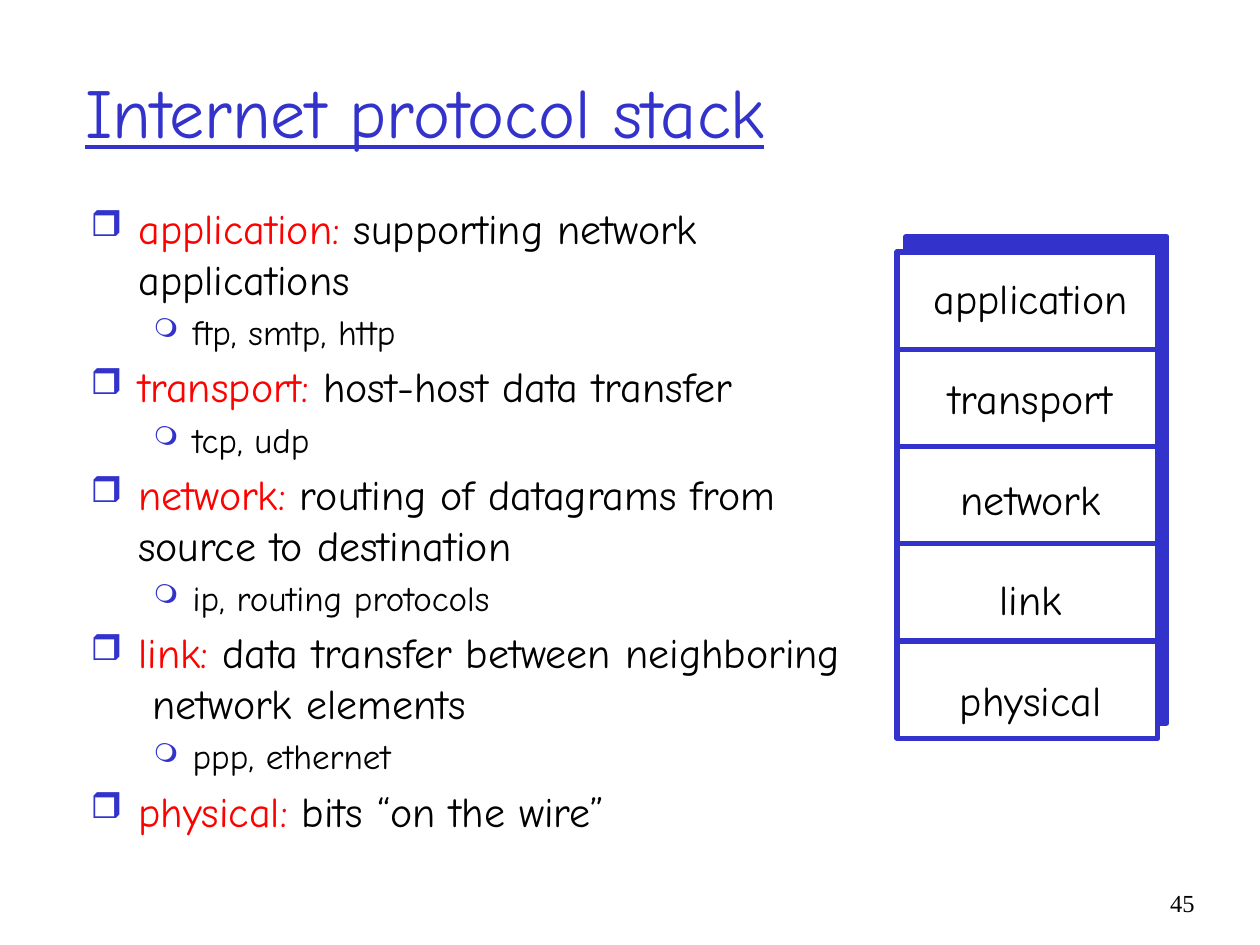
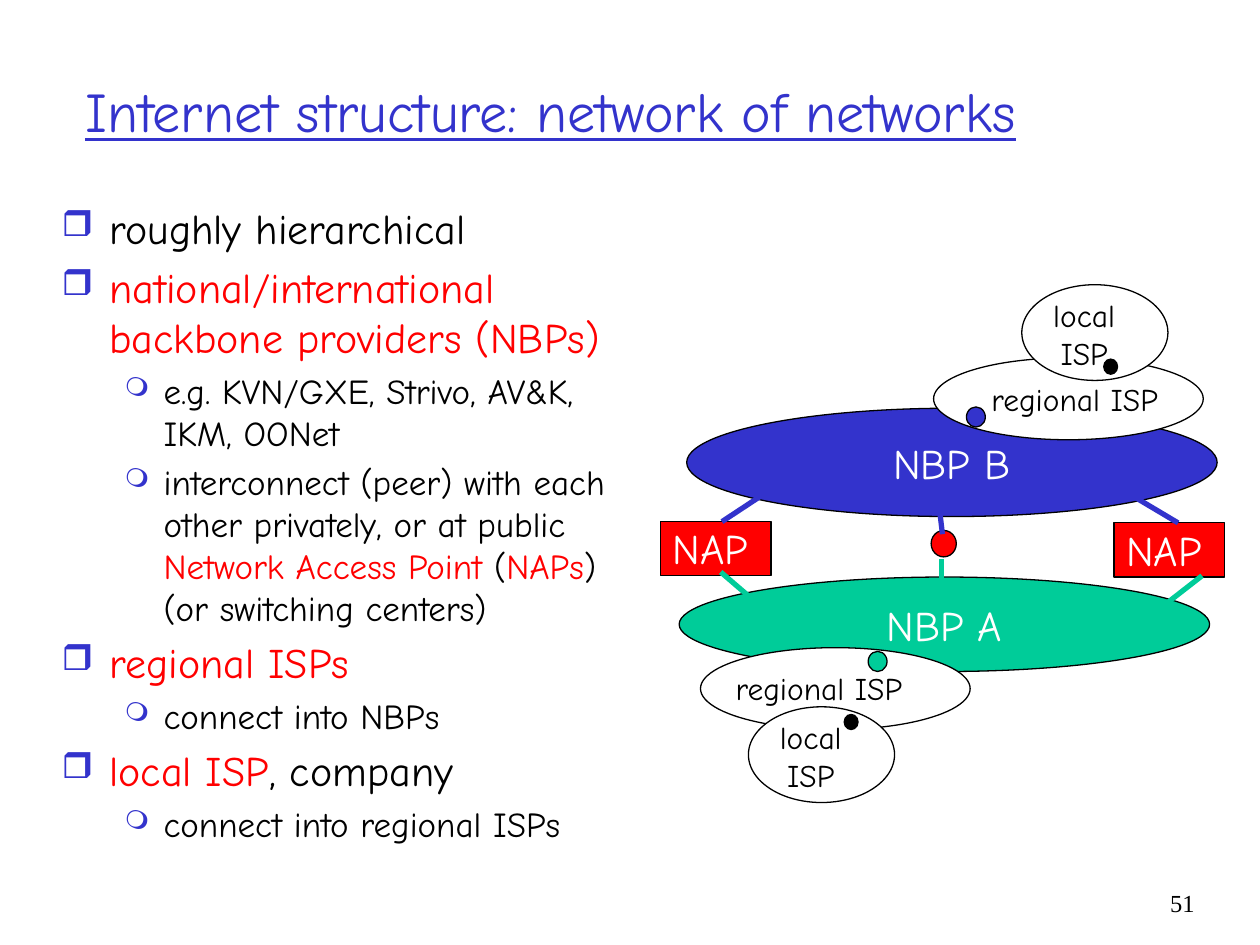
"""Build two slides on the Internet protocol stack and the structure of the Internet."""
from lxml.etree import SubElement
from pptx import Presentation
from pptx.dml.color import RGBColor
from pptx.enum.shapes import MSO_CONNECTOR, MSO_SHAPE
from pptx.enum.text import MSO_ANCHOR, PP_ALIGN
from pptx.oxml.ns import qn
from pptx.util import Inches, Pt

BLUE, GREEN, RED = "3333CC", "00CC99", "FF0000"
BLACK, WHITE = "000000", "FFFFFF"
OVAL, RECTANGLE = MSO_SHAPE.OVAL, MSO_SHAPE.RECTANGLE
LEFT, CENTER, RIGHT = PP_ALIGN.LEFT, PP_ALIGN.CENTER, PP_ALIGN.RIGHT
BULLETS = [
    {"char": "❒", "scale": 85, "margin": 0.38, "hang": 0.38, "size": 24},
    {"char": "❍", "scale": 75, "margin": 0.81, "hang": 0.31, "size": 20},
]


def draw(page, kind, place, fill=None, line=BLACK, weight=0.75):
    """Add a text box, a line (place holds its two ends) or a preset shape."""
    lengths = [Inches(length) for length in place]
    if kind == "text":
        box = page.shapes.add_textbox(*lengths)
        box.text_frame.word_wrap = True
        return box
    if kind == "line":
        shape = page.shapes.add_connector(MSO_CONNECTOR.STRAIGHT, *lengths)
    else:
        shape = page.shapes.add_shape(kind, *lengths)
        shape.shadow.inherit = False
        shape.fill.solid()
        shape.fill.fore_color.rgb = RGBColor.from_string(fill)
    shape.line.color.rgb = RGBColor.from_string(line)
    shape.line.width = Pt(weight)
    if kind == "line":
        SubElement(shape.element.spPr, qn("a:effectLst"))
    return shape


def write(box, text, size=24, color=BLACK, font="Comic Neue", align=LEFT,
          underline=None, after=0, level=None):
    """Add a paragraph; parts between asterisks are red, a level adds a bullet."""
    frame = box.text_frame
    para = frame.add_paragraph() if frame.text else frame.paragraphs[0]
    para.alignment = align
    para.space_after = Pt(after)
    if level is not None:
        bullet = BULLETS[level]
        size = bullet["size"]
        para.level = level
        para.space_before = Pt(size * 0.2)
        properties = para._p.get_or_add_pPr()
        properties.set("marL", str(Inches(bullet["margin"])))
        properties.set("indent", str(-Inches(bullet["hang"])))
        SubElement(SubElement(properties, qn("a:buClr")), qn("a:srgbClr"), val=BLUE)
        SubElement(properties, qn("a:buSzPct"), val=str(bullet["scale"] * 1000))
        SubElement(properties, qn("a:buChar"), char=bullet["char"])
    for index, part in enumerate(text.split("*")):
        for position, piece in enumerate(part.split("\v")):
            if position:
                para.add_line_break()
            if piece:
                span = para.add_run()
                span.text = piece
                span.font.name = font
                span.font.size = Pt(size)
                span.font.underline = underline
                span.font.color.rgb = RGBColor.from_string(RED if index % 2 else color)


deck = Presentation()
deck.slide_width, deck.slide_height = Inches(10), Inches(7.5)

outlines = [
    ("45", "Internet protocol stack", 40, (0.62, 1.56, 6.25, 5.08), [
        (0, "*application:* supporting network applications"),
        (1, "ftp, smtp, http"),
        (0, "*transport:* host-host data transfer"),
        (1, "tcp, udp"),
        (0, "*network:* routing of datagrams from source to destination"),
        (1, "ip, routing protocols"),
        (0, "*link:* data transfer between neighboring\v network elements"),
        (1, "ppp, ethernet"),
        (0, "*physical:* bits “on the wire”"),
    ]),
    ("51", "Internet structure: network of networks", 32, (0.39, 1.56, 4.77, 5.08), [
        (0, "roughly hierarchical"),
        (0, "*national/international backbone providers (NBPs)*"),
        (1, "e.g. KVN/GXE, Strivo, AV&K, IKM, OONet"),
        (1, "interconnect (peer) with each other privately, or at public "
            "*Network Access Point *(*NAPs*) (or switching centers)"),
        (0, "*regional ISPs*"),
        (1, "connect into NBPs"),
        (0, "*local ISP*, company"),
        (1, "connect into regional ISPs"),
    ]),
]
pages = []
for number, title, title_size, body_place, points in outlines:
    page = deck.slides.add_slide(deck.slide_layouts[6])
    pages.append(page)
    write(draw(page, "text", (9.08, 7, 0.5, 0.5)), number, size=14,
          font="Times New Roman", align=RIGHT)
    title_box = draw(page, "text", (0.58, 0.25, 8.85, 1.25))
    title_box.text_frame.vertical_anchor = MSO_ANCHOR.MIDDLE
    write(title_box, title, size=title_size, color=BLUE, underline=True)
    body = draw(page, "text", body_place)
    for level, point in points:
        write(body, point, level=level)
stack_page, network_page = pages

layers = ["application", "transport", "network", "link", "physical"]
stack_left, stack_top, stack_width, stack_height = 7.12, 2, 2.07, 3.86
draw(stack_page, RECTANGLE, (7.19, 1.88, stack_width, stack_height), BLUE, BLUE, 3)
draw(stack_page, RECTANGLE, (stack_left, stack_top, stack_width, stack_height),
     WHITE, BLUE, 3)
labels = draw(stack_page, "text", (7.25, 2.11, 1.86, 3.69))
for index, layer in enumerate(layers):
    write(labels, layer, align=CENTER, after=28.7)
    if index:
        y = stack_top + stack_height * index / len(layers)
        draw(stack_page, "line", (stack_left, y, stack_left + stack_width, y),
             line=BLUE, weight=3)

for name, color, place in [("NBP A", GREEN, (5.39, 4.58, 4.21, 0.75)),
                           ("NBP B", BLUE, (5.45, 3.24, 4.21, 0.86))]:
    backbone = draw(network_page, OVAL, place, color)
    backbone.text_frame.word_wrap = False
    write(backbone, name, color=WHITE, align=CENTER)

for left, top in [(5.24, 4.14), (8.84, 4.15)]:
    draw(network_page, RECTANGLE, (left, top, 0.88, 0.43), RED)
    write(draw(network_page, "text", (left, top - 0.04, 0.88, 0.5)), "NAP", color=WHITE)

draw(network_page, OVAL, (7.39, 4.21, 0.2, 0.21), RED)
for color, ends in [
    (BLUE, (5.73, 4.14, 6.17, 3.85)),
    (BLUE, (9.35, 4.15, 8.98, 3.93)),
    (BLUE, (7.48, 4.24, 7.45, 3.99)),
    (GREEN, (5.72, 4.54, 6.15, 4.91)),
    (GREEN, (9.54, 4.57, 9.27, 4.78)),
    (GREEN, (7.47, 4.44, 7.47, 4.73)),
]:
    draw(network_page, "line", ends, line=color, weight=3)

for left, top, color, dot, label in [
    (7.41, 2.84, BLUE, (7.67, 3.23), (7.77, 2.97)),
    (5.56, 5.14, GREEN, (6.89, 5.17), (5.74, 5.26)),
]:
    draw(network_page, OVAL, (left, top, 2.14, 0.65), WHITE)
    draw(network_page, OVAL, (*dot, 0.15, 0.16), color)
    write(draw(network_page, "text", (*label, 1.63, 0.4)), "regional ISP", size=18)

for left, top, dot in [(8.11, 2.26, (8.76, 2.85)), (5.94, 5.61, (6.7, 5.67))]:
    draw(network_page, OVAL, (left, top, 1.16, 0.76), WHITE)
    local = draw(network_page, "text", (left + 0.13, top + 0.04, 0.73, 0.7))
    for word in ["local", "ISP"]:
        write(local, word, size=18, align=CENTER)
    draw(network_page, OVAL, (*dot, 0.11, 0.12), BLACK)

deck.save("out.pptx")
